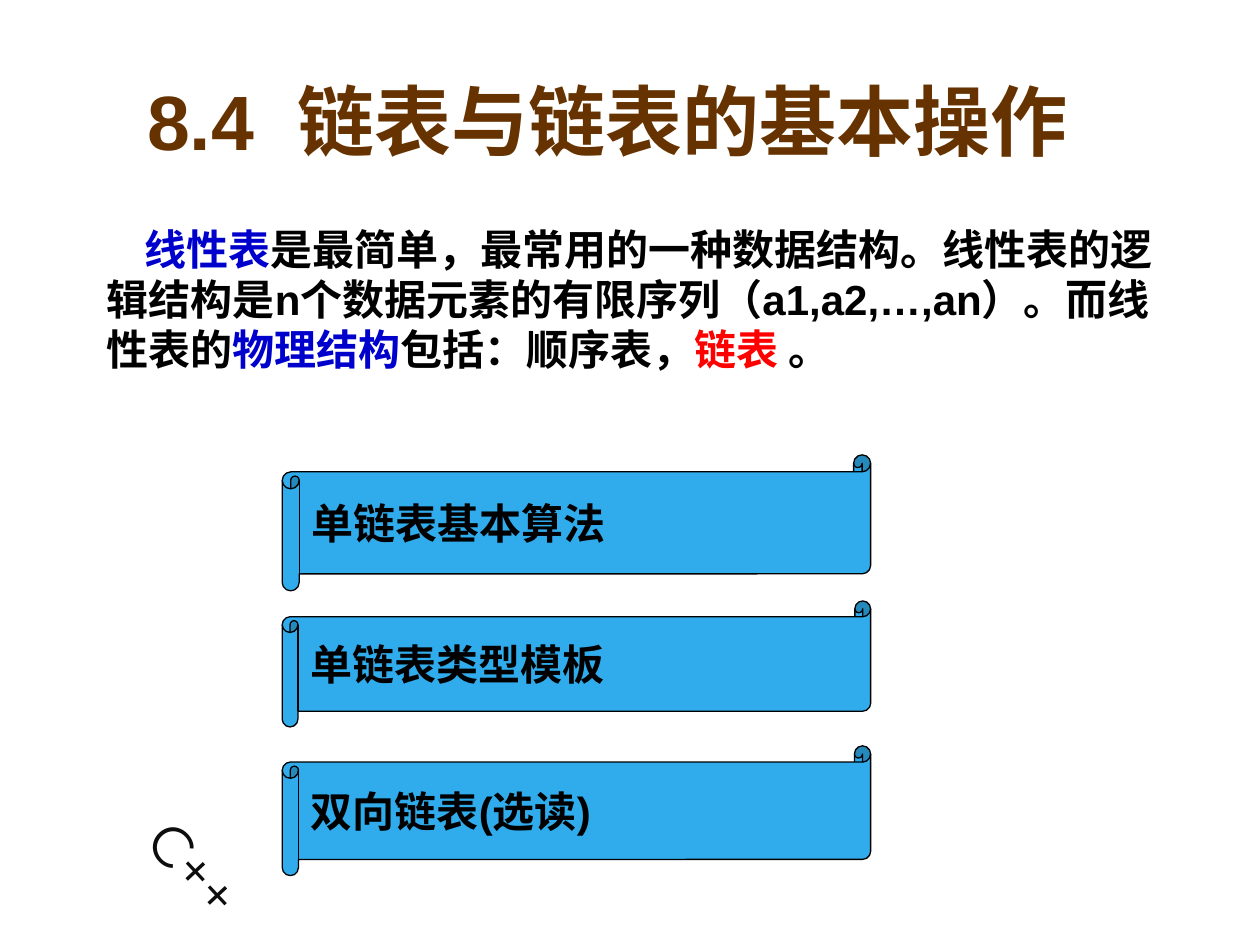
from dataclasses import dataclass
from pptx import Presentation
from pptx.dml.color import RGBColor as Rgb
from pptx.enum.shapes import MSO_SHAPE as Kind
from pptx.enum.text import MSO_ANCHOR as Anchor, PP_ALIGN as Align
from pptx.util import Inches, Pt


@dataclass(frozen=True)
class Theme:
    font: str = "Arial"
    mark_font: str = "Montserrat"
    ink: str = "000000"
    mark: str = "0D0D0D"
    brown: str = "663300"
    blue: str = "0000CC"
    red: str = "FF0000"
    sky: str = "30ACEC"
    title: int = 44
    logo: int = 32
    body: int = 24
    line: float = 0.75


theme = Theme()
deck = Presentation()
deck.slide_width, deck.slide_height = Inches(10), Inches(7.5)
slide = deck.slides.add_slide(deck.slide_layouts[6])
COL = deck.slide_width / 100
ROW = deck.slide_height / 75


def place(x, y, w, h):
    """Turn grid columns and rows into slide lengths."""
    return [round(n) for n in (x * COL, y * ROW, w * COL, h * ROW)]


def write(shape, runs, size, anchor=Anchor.MIDDLE, font=theme.font, bold=True):
    """Fill a shape with one left-aligned paragraph of (text, colour) runs."""
    frame = shape.text_frame
    frame.word_wrap = True
    frame.vertical_anchor = anchor
    para = frame.paragraphs[0]
    para.alignment = Align.LEFT
    for text, color in runs:
        run = para.add_run()
        run.text = text
        run.font.name = font
        run.font.size = Pt(size)
        run.font.bold = bold
        run.font.color.rgb = Rgb.from_string(color)
    return frame


# Language mark in the corner
mark = slide.shapes.add_textbox(*place(9.4, 67.8, 16.1, 6.4))
mark.rotation = 46.9
write(mark, [("C++", theme.mark)], theme.logo, Anchor.TOP, theme.mark_font, False)

# Title
title = slide.shapes.add_textbox(*place(10.7, 2.9, 84.3, 13.2))
write(title, [("8.4  链表与链表的基本操作", theme.brown)], theme.title)

# Introduction
intro = slide.shapes.add_textbox(*place(7.5, 1.62 * 10, 86.6, 14.5))
frame = write(intro, [
    ("线性表", theme.blue),
    ("是最简单，最常用的一种数据结构。线性表的逻辑结构是n个数据元素的有限序列（a1,a2,…,an）。而线性表的", theme.ink),
    ("物理结构", theme.blue),
    ("包括：顺序表，", theme.ink),
    ("链表", theme.red),
    (" 。", theme.ink),
], theme.body, Anchor.TOP)
frame.margin_top = round(1.5 * ROW)
frame.paragraphs[0]._p.get_or_add_pPr().set("indent", str(round(3 * COL)))

# Topic scrolls
topics = [
    ("单链表基本算法", 36.1, 10.8),
    ("单链表类型模板", 47.7, 10),
    ("双向链表(选读)", 59.2, 10.3),
]
for text, top, high in topics:
    scroll = slide.shapes.add_shape(Kind.HORIZONTAL_SCROLL, *place(22.4, top, 46.7, high))
    scroll.adjustments[0] = 0.125
    scroll.shadow.inherit = False
    scroll.fill.solid()
    scroll.fill.fore_color.rgb = Rgb.from_string(theme.sky)
    scroll.line.color.rgb = Rgb.from_string(theme.ink)
    scroll.line.width = Pt(theme.line)
    write(scroll, [(text, theme.ink)], theme.body)

deck.save("out.pptx")
